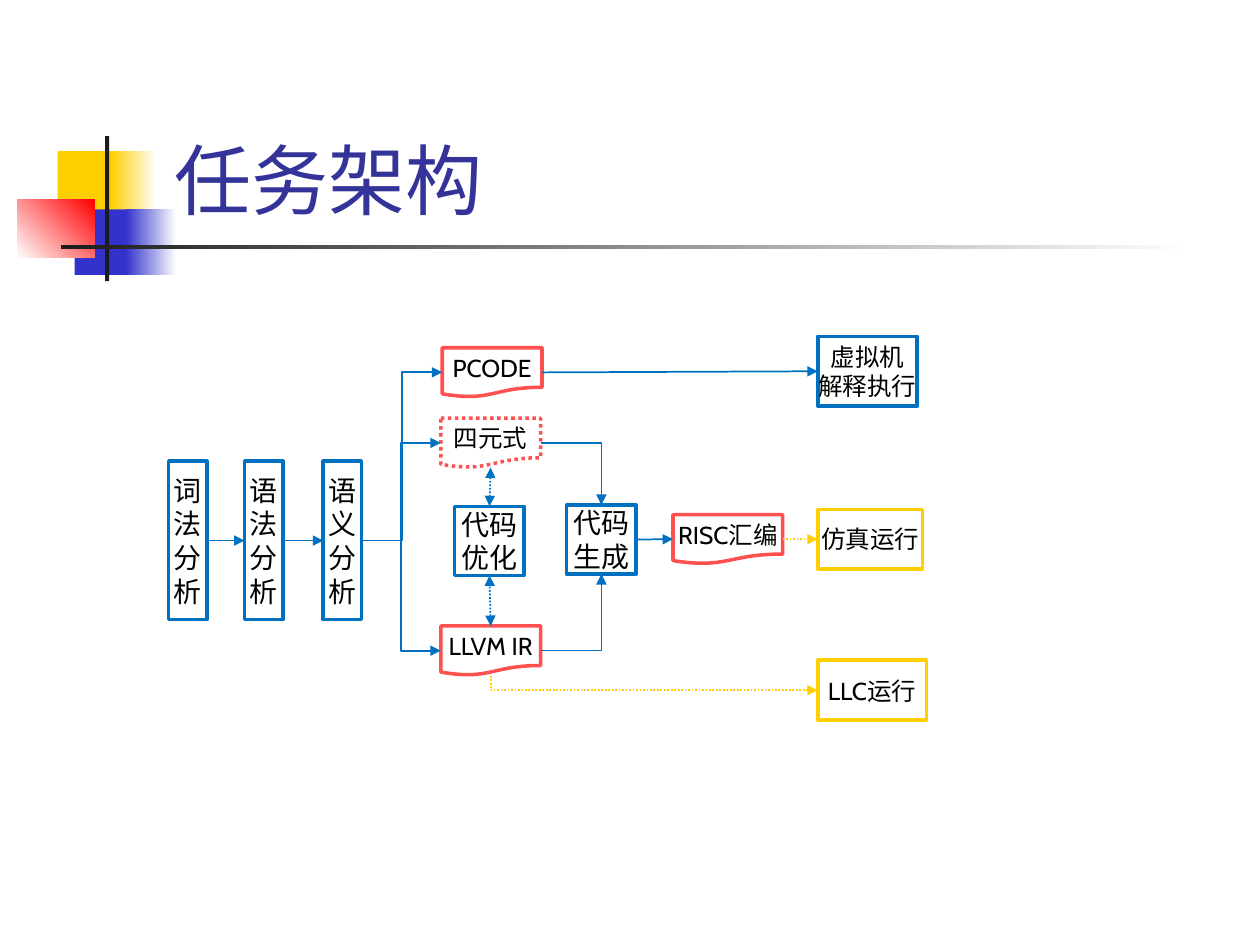
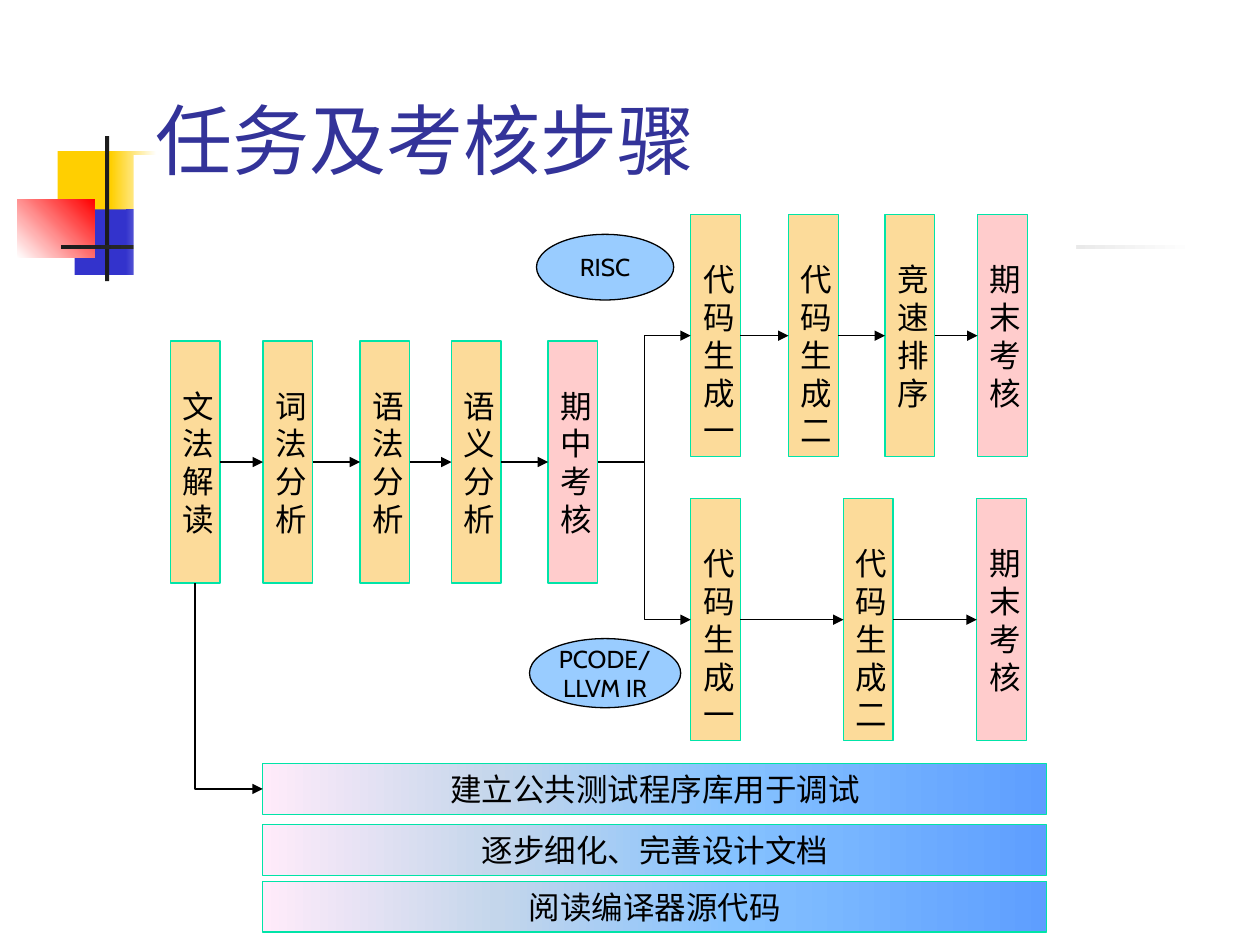
import pptx
import pptx.util
import pptx.dml.color
import pptx.enum.dml
import pptx.enum.shapes
import pptx.enum.text
import pptx.oxml.ns
from lxml import etree

Pt = pptx.util.Pt
qn = pptx.oxml.ns.qn
SHAPE = pptx.enum.shapes.MSO_SHAPE
CONNECTOR = pptx.enum.shapes.MSO_CONNECTOR
ANCHOR = pptx.enum.text.MSO_ANCHOR
ALIGN = pptx.enum.text.PP_ALIGN
DOTTED = pptx.enum.dml.MSO_LINE.ROUND_DOT

FONT = "Cabin"
WHITE, BLACK, INK, TITLE = "FFFFFF", "000000", "1C1C1C", "333399"
YELLOW, INDIGO, RED = "FFCF01", "3333CC", "FF0000"
BLUE, CORAL = "0070C0", "FF5050"
ORANGE, PINK, SKY, GREEN = "FCDB9A", "FFCCCC", "99CCFF", "00E4A8"

# Title ornament: (left, top, width, height), gradient stops or one colour, angle
ORNAMENT = [
    ((33, 86.4, 34.6, 37.4), YELLOW, 0),
    ((63.4, 86.4, 26, 37.4), [(0, YELLOW), (100, WHITE)], 0),
    ((42.6, 119.7, 33, 37.4), INDIGO, 0),
    ((72, 119.7, 28.8, 37.4), [(0, INDIGO), (100, WHITE)], 0),
    ((9.8, 113.8, 44.2, 33.4), [(0, WHITE), (100, RED)], 45),
    ((60, 77.8, 2.4, 82.8), INK, 0),
    ((34.8, 140.1, 648, 2.5), [(0, INK), (100, WHITE)], 0),
]

# Slide 1: the compiler's parts
PHASES = [("词法", "词法分析", 96.4), ("语法", "语法分析", 139.8), ("语义", "语义分析", 184.7)]
PHASE_TOP, PHASE_SIZE = 263.6, (21.8, 90.6)
DOCUMENTS = [  # key, text, left, top, width, dash
    ("pcode", "PCODE", 252.7, 198.7, 57, None),
    ("quad", "四元式", 251.9, 239, 57, DOTTED),
    ("llvm", "LLVM IR", 251.9, 357.7, 57, None),
    ("risc", "RISC汇编", 384.6, 294, 62.7, None),
]
DOCUMENT_HEIGHT = 28.2
MODULES = [  # key, lines, place, text size, line colour, line width
    ("optimise", ["代码", "优化"], (259.8, 289.3, 39.8, 39.6), 16, BLUE, 2),
    ("generate", ["代码", "生成"], (323.8, 288.5, 39.8, 39.6), 16, BLUE, 2),
    ("vm", ["虚拟机", "解释执行"], (467.3, 192.3, 56.9, 39.7), 14, BLUE, 2.25),
    ("simulator", ["仿真运行"], (467.3, 291.1, 59.9, 34), 14, YELLOW, 2),
    ("llc", ["LLC运行"], (467.3, 377.3, 62.1, 34.3), 14, YELLOW, 2),
]
FLOWS = [  # from, side, to, side, route
    ("词法", "right", "语法", "left", "straight"),
    ("语法", "right", "语义", "left", "straight"),
    ("语义", "right", "pcode", "left", "elbow"),
    ("语义", "right", "quad", "left", "elbow"),
    ("语义", "right", "llvm", "left", "elbow"),
    ("pcode", "right", "vm", "left", "straight"),
    ("quad", "right", "generate", "top", "corner"),
    ("llvm", "right", "generate", "bottom", "corner"),
    ("generate", "right", "risc", "left", "straight"),
]
EXCHANGES = [("optimise", "top", "quad", "bottom", "straight"),
             ("llvm", "top", "optimise", "bottom", "straight")]
EXTERNAL_RUNS = [("risc", "right", "simulator", "left", "straight"),
                 ("llvm", "bottom", "llc", "left", "corner")]

# Slide 2: rows of steps, each step with its left edge; exams are pink
STEP_ROWS = {
    "common": (194.9, [("文法解读", 97.3), ("词法分析", 150.3), ("语法分析", 205.8),
                       ("语义分析", 258), ("期中考核", 313.2)]),
    "risc": (122.7, [("代码生成一", 394.7), ("代码生成二", 450.6),
                     ("竞速排序", 505.7), ("期末考核", 558.6)]),
    "pcode": (285, [("代码生成一", 394.7), ("代码生成二", 482), ("期末考核", 558.2)]),
}
STEP_SIZE = (28.4, 138.25)
STEP_TEXT_TOP = 26
BRANCH_LABELS = [(["RISC"], (306.6, 133.9, 78.4, 37.5)),
                 (["PCODE/", "LLVM IR"], (302.6, 364.9, 86.4, 39.5))]
ONGOING_WORK = [("建立公共测试程序库用于调试", 436.4), ("逐步细化、完善设计文档", 471.2),
                ("阅读编译器源代码", 503.6)]
ONGOING_LEFT, ONGOING_SIZE = 150.2, (448, 29)
ONGOING_FILL = [(0, "FFEBFA"), (30, "C4D6EB"), (60, "85C2FF"), (100, "5E9EFF")]
PANEL = (76.3, 88.6, 538.6, 444)

SIDES = {"top": 0, "left": 1, "bottom": 2, "right": 3}


def rgb(color):
    return pptx.dml.color.RGBColor.from_string(color)


def apply_fill(shape, fill, angle):
    """Fill with nothing (None), a colour, or a list of (percent, colour) stops."""
    if fill is None:
        shape.fill.background()
    elif isinstance(fill, str):
        shape.fill.solid()
        shape.fill.fore_color.rgb = rgb(fill)
    else:
        shape.fill.gradient()
        shape.fill.gradient_angle = angle
        stops = shape._element.spPr.find(".//" + qn("a:gsLst"))
        for stop in list(stops):
            stops.remove(stop)
        for percent, color in fill:
            stop = etree.SubElement(stops, qn("a:gs"), pos=str(percent * 1000))
            etree.SubElement(stop, qn("a:srgbClr"), val=color)


def apply_line(line, color, width, dash=None):
    line.color.rgb = rgb(color)
    line.width = Pt(width)
    if dash:
        line.dash_style = dash


def write(frame, lines, size, color=BLACK, align=ALIGN.CENTER):
    for index, line in enumerate(lines):
        paragraph = frame.paragraphs[0] if index == 0 else frame.add_paragraph()
        paragraph.alignment = align
        run = paragraph.add_run()
        run.text = line
        run.font.name = FONT
        run.font.size = Pt(size)
        run.font.color.rgb = rgb(color)


def add_block(slide, kind, place, fill=None, angle=0, outline=None,
              lines=(), size=14, wrap=False, anchor=ANCHOR.MIDDLE):
    """Add a preset shape; outline is (colour, width[, dash])."""
    block = slide.shapes.add_shape(kind, *map(Pt, place))
    block.shadow.inherit = False
    apply_fill(block, fill, angle)
    if outline:
        apply_line(block.line, *outline)
    else:
        block.line.fill.background()
    block.text_frame.word_wrap = wrap
    block.text_frame.vertical_anchor = anchor
    write(block.text_frame, lines, size)
    return block


def link(slide, start, start_side, end, end_side, route, style, both=False):
    """Glue an arrow between two shapes; a corner leaves its first end sideways."""
    arrows = ["headEnd", "tailEnd"] if both else ["tailEnd"]
    if route == "corner" and start_side in ("top", "bottom"):
        start, start_side, end, end_side = end, end_side, start, start_side
        arrows = ["headEnd"]
    kind = CONNECTOR.STRAIGHT if route == "straight" else CONNECTOR.ELBOW
    arrow = slide.shapes.add_connector(kind, 0, 0, 0, 0)
    arrow.begin_connect(start, SIDES[start_side])
    arrow.end_connect(end, SIDES[end_side])
    apply_line(arrow.line, *style)
    properties = arrow._element.spPr
    if route == "corner":
        properties.find(qn("a:prstGeom")).set("prst", "bentConnector2")
    for end_tag in arrows:
        etree.SubElement(properties.find(qn("a:ln")), qn("a:" + end_tag), type="triangle")
    etree.SubElement(properties, qn("a:effectLst"))


def add_title(slide, title, place):
    frame = slide.shapes.add_textbox(*map(Pt, place)).text_frame
    frame.word_wrap = True
    frame.vertical_anchor = ANCHOR.BOTTOM
    write(frame, [title], 44, TITLE, ALIGN.LEFT)


def new_slide(deck):
    """Add a blank slide with the title ornament."""
    slide = deck.slides.add_slide(deck.slide_layouts[6])
    for place, fill, angle in ORNAMENT:
        add_block(slide, SHAPE.RECTANGLE, place, fill, angle)
    return slide


def build_architecture(deck):
    slide = new_slide(deck)
    add_title(slide, "任务架构", (92.9, 54, 613.4, 77.8))
    parts = {}
    for key, phase, left in PHASES:
        parts[key] = add_block(slide, SHAPE.RECTANGLE, (left, PHASE_TOP, *PHASE_SIZE),
                               outline=(BLUE, 2), lines=list(phase), size=16)
    for key, label, left, top, width, dash in DOCUMENTS:
        parts[key] = add_block(slide, SHAPE.FLOWCHART_DOCUMENT,
                               (left, top, width, DOCUMENT_HEIGHT),
                               outline=(CORAL, 2, dash), lines=[label])
    for key, lines, place, size, color, width in MODULES:
        parts[key] = add_block(slide, SHAPE.RECTANGLE, place, WHITE,
                               outline=(color, width), lines=lines, size=size)
    for flows, style, both in ((FLOWS, (BLUE, 1), False),
                               (EXCHANGES, (BLUE, 1, DOTTED), True),
                               (EXTERNAL_RUNS, (YELLOW, 1, DOTTED), False)):
        for start, start_side, end, end_side, route in flows:
            link(slide, parts[start], start_side, parts[end], end_side, route, style, both)


def build_steps(deck):
    slide = new_slide(deck)
    add_block(slide, SHAPE.RECTANGLE, PANEL, WHITE)
    add_title(slide, "任务及考核步骤", (82, 43.2, 613.4, 66.2))
    arrow_style = (BLACK, 0.75)
    rows = {}
    for key, (top, steps) in STEP_ROWS.items():
        rows[key] = []
        for step, left in steps:
            fill = PINK if step.endswith("考核") else ORANGE
            block = add_block(slide, SHAPE.RECTANGLE, (left, top, *STEP_SIZE), fill,
                              outline=(GREEN, 0.75), lines=[step], size=18,
                              wrap=True, anchor=ANCHOR.TOP)
            block.text_frame.margin_top = Pt(STEP_TEXT_TOP)
            rows[key].append(block)
        for step, following in zip(rows[key], rows[key][1:]):
            link(slide, step, "right", following, "left", "straight", arrow_style)
    for branch in ("risc", "pcode"):
        link(slide, rows["common"][-1], "right", rows[branch][0], "left", "elbow", arrow_style)
    for lines, place in BRANCH_LABELS:
        add_block(slide, SHAPE.OVAL, place, SKY, outline=(BLACK, 0.75), lines=lines)
    bars = [add_block(slide, SHAPE.RECTANGLE, (ONGOING_LEFT, top, *ONGOING_SIZE),
                      ONGOING_FILL, outline=(GREEN, 0.75), lines=[work], size=18, wrap=True)
            for work, top in ONGOING_WORK]
    link(slide, rows["common"][0], "bottom", bars[0], "left", "corner", arrow_style)


def main():
    deck = pptx.Presentation()
    deck.slide_width, deck.slide_height = Pt(720), Pt(540)
    build_architecture(deck)
    build_steps(deck)
    deck.save("out.pptx")


if __name__ == "__main__":
    main()
